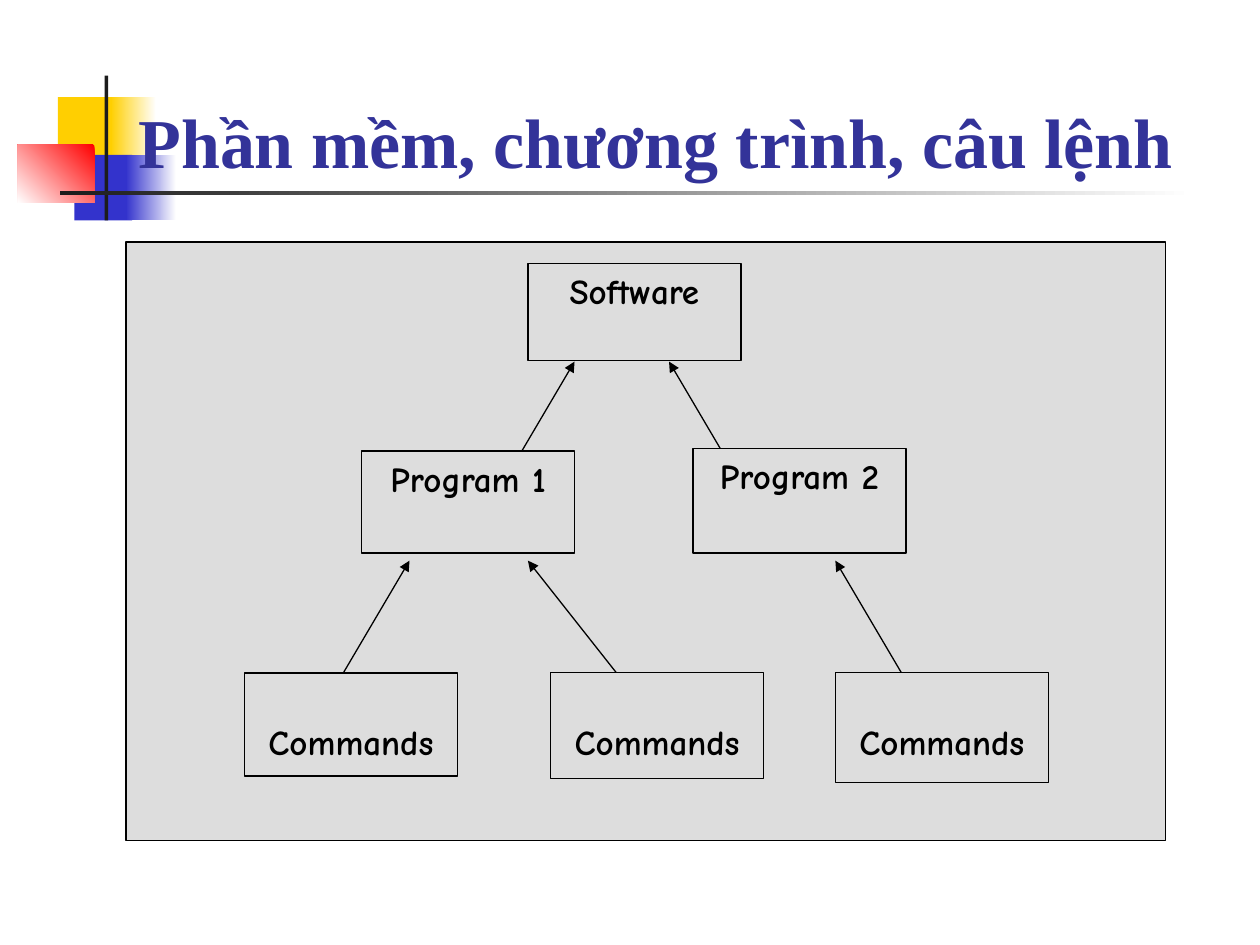
import pptx
import pptx.dml.color
import pptx.enum.shapes
import pptx.enum.text
import pptx.oxml
import pptx.oxml.ns
import pptx.util
from pptx.dml.color import RGBColor
from pptx.util import Inches

WHITE = RGBColor(0xFF, 0xFF, 0xFF)
BLACK = RGBColor(0x00, 0x00, 0x00)
YELLOW = RGBColor(0xFF, 0xCF, 0x01)
BLUE = RGBColor(0x33, 0x33, 0xCC)
RED = RGBColor(0xFF, 0x00, 0x00)
CHARCOAL = RGBColor(0x1C, 0x1C, 0x1C)
NAVY = RGBColor(0x33, 0x33, 0x99)
GREY = RGBColor(0xDD, 0xDD, 0xDD)

LINE_WIDTH = pptx.util.Pt(0.75)
NODE_WIDTH = 1.69

# Nodes: text, left, top, height, top inset; inches from the panel corner
NODES = [
    ("Software", 3.19, 0.17, 0.77, 0.05),
    ("Program 2", 4.5, 1.64, 0.83, 0.05),
    ("Program 1", 1.87, 1.66, 0.81, 0.05),
    ("Commands", 0.94, 3.42, 0.82, 0.38),
    ("Commands", 3.37, 3.42, 0.84, 0.38),
    ("Commands", 5.63, 3.42, 0.87, 0.38),
]

# Arrows: bottom y, top y, then (start x, end x) pairs
ARROW_ROWS = [
    (3.48, 2.53, [(1.69, 2.25), (3.94, 3.19), (6.19, 5.63)]),
    (1.9, 0.95, [(3, 3.56), (4.87, 4.31)]),
]


def add_rectangle(shapes, left, top, width, height):
    shape = shapes.add_shape(
        pptx.enum.shapes.MSO_SHAPE.RECTANGLE,
        Inches(left), Inches(top), Inches(width), Inches(height))
    shape.shadow.inherit = False
    shape.line.fill.background()
    return shape


def fill_solid(shape, color):
    shape.fill.solid()
    shape.fill.fore_color.rgb = color


def fill_gradient(shape, start, end, angle):
    shape.fill.gradient()
    shape.fill.gradient_angle = angle
    for stop, color, position in zip(shape.fill.gradient_stops, (start, end), (0, 1)):
        stop.color.rgb = color
        stop.position = position


def add_box(shapes, left, top, width, height):
    box = add_rectangle(shapes, left, top, width, height)
    fill_solid(box, GREY)
    box.line.color.rgb = BLACK
    box.line.width = LINE_WIDTH
    return box


def set_text(shape, text, font_name, size, color):
    shape.text_frame.word_wrap = True
    paragraph = shape.text_frame.paragraphs[0]
    paragraph.text = text
    paragraph.font.name = font_name
    paragraph.font.size = pptx.util.Pt(size)
    paragraph.font.bold = True
    paragraph.font.color.rgb = color
    return paragraph


def add_arrow(shapes, start_x, start_y, end_x, end_y):
    arrow = shapes.add_connector(
        pptx.enum.shapes.MSO_CONNECTOR.STRAIGHT,
        Inches(start_x), Inches(start_y), Inches(end_x), Inches(end_y))
    arrow.line.color.rgb = BLACK
    arrow.line.width = LINE_WIDTH
    line = arrow.line._get_or_add_ln()
    head = pptx.oxml.parse_xml(
        f'<a:tailEnd {pptx.oxml.ns.nsdecls("a")} type="triangle"/>')
    line.append(head)
    effects = pptx.oxml.parse_xml(f'<a:effectLst {pptx.oxml.ns.nsdecls("a")}/>')
    line.addnext(effects)


def add_ornament(slide, left, top):
    """Coloured squares crossed by a vertical bar and a fading rule."""
    shapes = slide.shapes
    # Yellow and blue squares, each fading out to the right
    for color, x, y, width, fade_x, fade_width in (
            (YELLOW, 0.32, 0.17, 0.48, 0.74, 0.36),
            (BLUE, 0.45, 0.63, 0.46, 0.86, 0.4)):
        fill_solid(add_rectangle(shapes, left + x, top + y, width, 0.52), color)
        fade = add_rectangle(shapes, left + fade_x, top + y, fade_width, 0.52)
        fill_gradient(fade, WHITE, color, 180)
    # Red square, fading towards its lower left corner
    red_square = add_rectangle(shapes, left, top + 0.55, 0.61, 0.46)
    fill_gradient(red_square, RED, WHITE, 225)
    # Crossing bars
    fill_solid(add_rectangle(shapes, left + 0.69, top, 0.03, 1.15), CHARCOAL)
    rule = add_rectangle(shapes, left + 0.34, top + 0.92, 9, 0.03)
    fill_gradient(rule, WHITE, CHARCOAL, 180)


def add_title(slide, left, top, width, height):
    title = slide.shapes.add_textbox(
        Inches(left), Inches(top), Inches(width), Inches(height))
    title.text_frame.vertical_anchor = pptx.enum.text.MSO_ANCHOR.BOTTOM
    set_text(title, "Phần mềm, chương trình, câu lệnh", "Times New Roman", 40, NAVY)


def add_node(shapes, left, top, height, text, top_inset):
    node = add_box(shapes, left, top, NODE_WIDTH, height)
    node.text_frame.vertical_anchor = pptx.enum.text.MSO_ANCHOR.TOP
    node.text_frame.margin_top = Inches(top_inset)
    paragraph = set_text(node, text, "Comic Neue", 20, BLACK)
    paragraph.alignment = pptx.enum.text.PP_ALIGN.CENTER


def add_diagram(slide, left, top, width, height):
    """Tree of software, programs and commands on a grey panel."""
    shapes = slide.shapes.add_group_shape().shapes
    add_box(shapes, left, top, width, height)
    # Arrows lie behind the nodes
    for start_y, end_y, spans in ARROW_ROWS:
        for start_x, end_x in spans:
            add_arrow(shapes, left + start_x, top + start_y,
                      left + end_x, top + end_y)
    for text, x, y, node_height, top_inset in NODES:
        add_node(shapes, left + x, top + y, node_height, text, top_inset)


def main():
    presentation = pptx.Presentation()
    presentation.slide_width = Inches(10)
    presentation.slide_height = Inches(7.5)
    slide = presentation.slides.add_slide(presentation.slide_layouts[6])
    add_ornament(slide, 0.14, 0.6)
    add_title(slide, 1, 0.58, 8.75, 0.92)
    add_diagram(slide, 1, 1.92, 8.25, 4.75)
    presentation.save("out.pptx")


if __name__ == "__main__":
    main()
